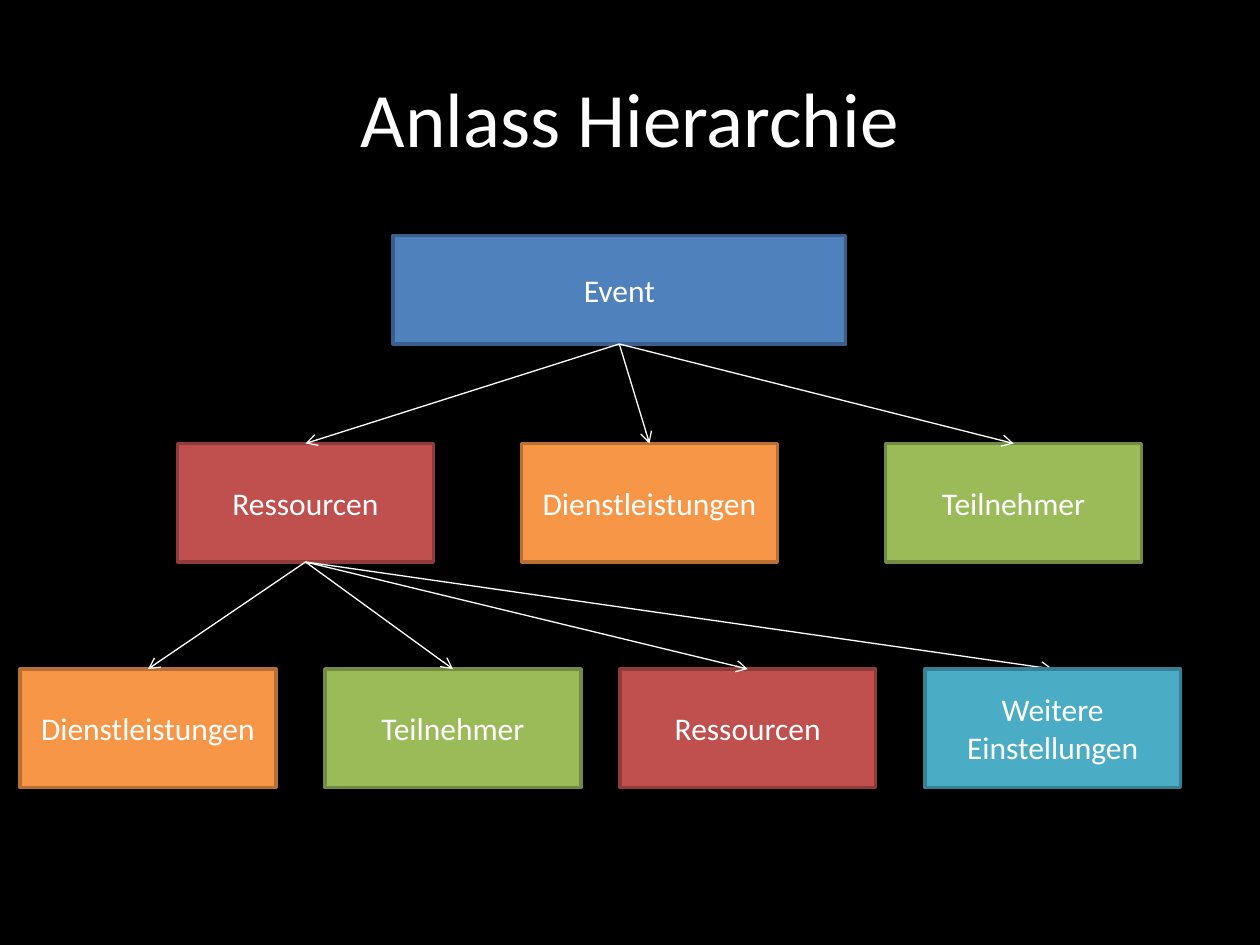
"""Build the event hierarchy slide."""
from dataclasses import dataclass

from pptx import Presentation
from pptx.dml.color import RGBColor
from pptx.enum.shapes import MSO_CONNECTOR, MSO_SHAPE
from pptx.enum.text import MSO_ANCHOR, PP_ALIGN
from pptx.oxml.ns import qn
from pptx.util import Inches, Pt
from lxml.etree import SubElement


@dataclass(frozen=True)
class Theme:
    """Colours, font and sizes of the slide."""
    font: str = "Calibri"
    background: str = "000000"
    foreground: str = "FFFFFF"
    event: tuple = ("4F81BD", "3A5F8C")
    resources: tuple = ("C0504D", "8E3B39")
    services: tuple = ("F79646", "B76F34")
    people: tuple = ("9BBB59", "738A42")
    settings: tuple = ("4BACC6", "377F92")
    title_size: int = 44
    box_size: int = 18
    border: float = 2
    arrow: float = 0.75


THEME = Theme()
BOX_SIZE = (2.03, 0.94)
BOTTOM, TOP = 2, 0
AREAS = [
    ("Ressourcen", 1.41, THEME.resources),
    ("Dienstleistungen", 4.14, THEME.services),
    ("Teilnehmer", 7.03, THEME.people),
]
DETAILS = [
    ("Dienstleistungen", 0.16, THEME.services),
    ("Teilnehmer", 2.58, THEME.people),
    ("Ressourcen", 4.92, THEME.resources),
    ("Weitere Einstellungen", 7.34, THEME.settings),
]


def set_values(target, values):
    """Set each named attribute on the target."""
    for name, value in values.items():
        setattr(target, name, value)


def write_text(shape, text, size):
    """Write one centred paragraph into the shape."""
    frame = shape.text_frame
    set_values(frame, {"word_wrap": True, "vertical_anchor": MSO_ANCHOR.MIDDLE})
    para = frame.paragraphs[0]
    para.alignment = PP_ALIGN.CENTER
    span = para.add_run()
    span.text = text
    set_values(span.font, {"name": THEME.font, "size": Pt(size)})
    span.font.color.rgb = RGBColor.from_string(THEME.foreground)


def add_title(page, text):
    """Place and fill the title placeholder."""
    title = page.shapes.title
    set_values(title, {"left": Inches(0.5), "top": Inches(0.3),
                       "width": Inches(9), "height": Inches(1.25)})
    write_text(title, text, THEME.title_size)


def add_box(page, text, left, top, size, colours):
    """Add a bordered rectangle with a label."""
    box = page.shapes.add_shape(
        MSO_SHAPE.RECTANGLE, *(Inches(n) for n in (left, top, *size)))
    fill, border = colours
    box.shadow.inherit = False
    box.fill.solid()
    box.fill.fore_color.rgb = RGBColor.from_string(fill)
    box.line.color.rgb = RGBColor.from_string(border)
    box.line.width = Pt(THEME.border)
    write_text(box, text, THEME.box_size)
    return box


def add_row(page, entries, top):
    """Add one level of equally sized boxes."""
    return [add_box(page, text, left, top, BOX_SIZE, colours)
            for text, left, colours in entries]


def add_arrow(page, parent, child):
    """Join the bottom of the parent to the top of the child."""
    arrow = page.shapes.add_connector(MSO_CONNECTOR.STRAIGHT, 0, 0, 0, 0)
    arrow.begin_connect(parent, BOTTOM)
    arrow.end_connect(child, TOP)
    arrow.line.color.rgb = RGBColor.from_string(THEME.foreground)
    arrow.line.width = Pt(THEME.arrow)
    SubElement(arrow.line._get_or_add_ln(), qn("a:tailEnd"), type="arrow")
    SubElement(arrow.element.spPr, qn("a:effectLst"))


def bring_to_front(shape):
    """Move the shape above all others."""
    shape.element.getparent().append(shape.element)


def main():
    """Build and save the deck."""
    deck = Presentation()
    set_values(deck, {"slide_width": Inches(10), "slide_height": Inches(7.5)})
    page = deck.slides.add_slide(deck.slide_layouts[5])
    page.background.fill.solid()
    page.background.fill.fore_color.rgb = RGBColor.from_string(THEME.background)

    add_title(page, "Anlass Hierarchie")
    event = add_box(page, "Event", 3.12, 1.87, (3.59, 0.86), THEME.event)
    areas = add_row(page, AREAS, 3.52)
    details = add_row(page, DETAILS, 5.31)
    for parent, children in ((event, areas), (areas[0], details)):
        for child in children:
            add_arrow(page, parent, child)
    bring_to_front(details[-1])
    deck.save("out.pptx")


if __name__ == "__main__":
    main()
